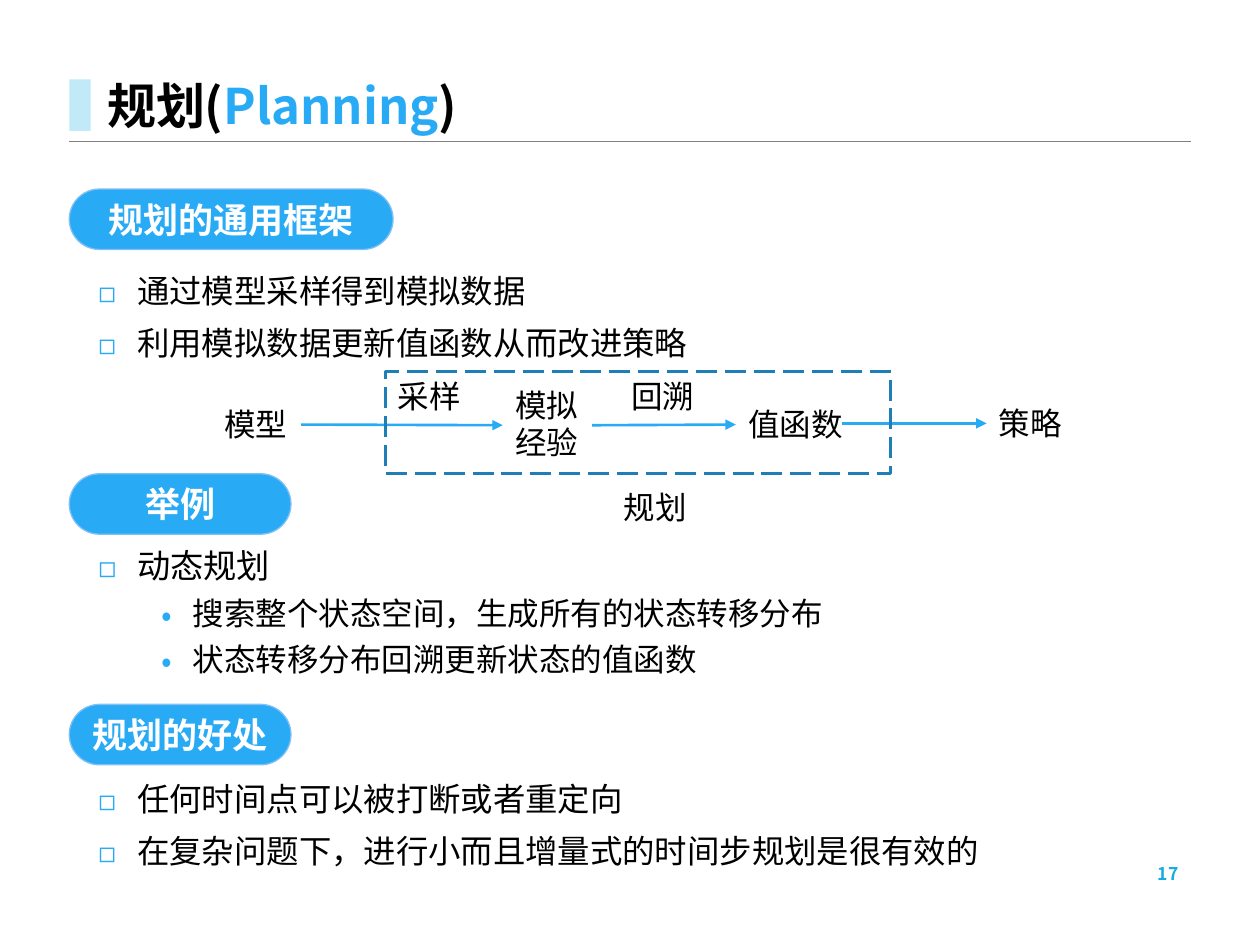
from lxml import etree
from pptx import Presentation
from pptx.dml.color import RGBColor
from pptx.enum.dml import MSO_LINE
from pptx.enum.shapes import MSO_CONNECTOR, MSO_SHAPE
from pptx.enum.text import MSO_ANCHOR, MSO_AUTO_SIZE, PP_ALIGN
from pptx.oxml.ns import qn
from pptx.util import Inches, Pt

FONT = "Noto Sans CJK JP"
BLUE, BLACK, WHITE = "29AAF5", "000000", "FFFFFF"
STRAIGHT = MSO_CONNECTOR.STRAIGHT
LONG_DASH = MSO_LINE.LONG_DASH
TOP, MIDDLE, BOTTOM = MSO_ANCHOR.TOP, MSO_ANCHOR.MIDDLE, MSO_ANCHOR.BOTTOM
LEFT, CENTER, RIGHT = PP_ALIGN.LEFT, PP_ALIGN.CENTER, PP_ALIGN.RIGHT
LABEL_LINE, LIST_LINE = Pt(21.3), Pt(19.7)
COMPARISON_LAYOUT = 4


def rgb(color):
    return RGBColor.from_string(color)


def style_span(span, size, color=BLACK, bold=False):
    font = span.font
    font.size, font.bold = Pt(size), bold
    font.fill.solid()
    font.fill.fore_color.rgb = rgb(color)
    font.name = FONT
    etree.SubElement(span._r.get_or_add_rPr(), qn("a:ea")).set("typeface", FONT)


def move(shape, box):
    shape.left, shape.top, shape.width, shape.height = map(Inches, box)


def add_label(page, box, text, size=18, color=BLACK, bold=False, align=LEFT,
              anchor=TOP, line=LABEL_LINE):
    label = page.shapes.add_textbox(*map(Inches, box))
    frame = label.text_frame
    frame.word_wrap, frame.vertical_anchor = True, anchor
    frame.text = text
    para = frame.paragraphs[0]
    para.alignment, para.line_spacing = align, line
    style_span(para.runs[0], size, color, bold)
    return label


def add_plain_shape(page, kind, box, fill=None):
    shape = page.shapes.add_shape(kind, *map(Inches, box))
    shape.shadow.inherit = False
    if fill:
        shape.fill.solid()
        shape.fill.fore_color.rgb = rgb(fill)
    else:
        shape.fill.background()
    return shape


def add_line(page, start, end, color, width):
    line = page.shapes.add_connector(STRAIGHT, *map(Inches, start + end))
    line.line.color.rgb, line.line.width = rgb(color), Pt(width)
    etree.SubElement(line._element.spPr, qn("a:effectLst"))
    return line


def add_arrow(page, start, end):
    arrow = add_line(page, start, end, BLUE, 1.5)
    outline = arrow.line._get_or_add_ln()
    etree.SubElement(outline, qn("a:tailEnd")).set("type", "triangle")
    return arrow


def fill_header(page, box):
    left, top, width, height = box
    bottom = top + height
    add_line(page, (left, bottom), (left + width, bottom), "808080", 0.25)
    marker = add_plain_shape(page, MSO_SHAPE.RECTANGLE, (left, top + 0.63, 0.17, 0.41), "C2E9F7")
    marker.line.fill.background()
    title = page.shapes.title
    move(title, (left + 0.2, top, width, height))
    frame = title.text_frame
    frame.vertical_anchor, frame.auto_size = BOTTOM, MSO_AUTO_SIZE.NONE
    para = frame.paragraphs[0]
    para.alignment, para.line_spacing = LEFT, 0.9
    for text, color in (("规划(", BLACK), ("Planning", BLUE), (")", BLACK)):
        span = para.add_run()
        span.text = text
        style_span(span, 28, color, True)


def add_pill(page, box, text):
    pill = add_plain_shape(page, MSO_SHAPE.ROUNDED_RECTANGLE, box, BLUE)
    pill.adjustments[0] = 0.5
    pill.line.color.rgb, pill.line.width = rgb("80C0F6"), Pt(0.75)
    frame = pill.text_frame
    frame.vertical_anchor = MIDDLE
    frame.text = text
    para = frame.paragraphs[0]
    para.alignment = CENTER
    style_span(para.runs[0], 20, WHITE, True)


def set_bullet(para, mark, margin, hanging, percent):
    properties = para._p.get_or_add_pPr()
    properties.set("marL", str(Inches(margin)))
    properties.set("indent", str(-Inches(hanging)))
    color = etree.SubElement(properties, qn("a:buClr"))
    etree.SubElement(color, qn("a:srgbClr")).set("val", BLUE)
    etree.SubElement(properties, qn("a:buSzPct")).set("val", str(percent * 1000))
    etree.SubElement(properties, qn("a:buFont")).set("typeface", FONT)
    etree.SubElement(properties, qn("a:buChar")).set("char", mark)


def fill_list(body, box, items, size, line):
    """Fill a body placeholder with (level, text) items."""
    move(body, box)
    frame = body.text_frame
    frame.vertical_anchor, frame.auto_size = TOP, MSO_AUTO_SIZE.NONE
    for index, (level, text) in enumerate(items):
        para = frame.add_paragraph() if index else frame.paragraphs[0]
        para.text, para.level = text, level
        para.alignment, para.line_spacing = LEFT, line
        para.space_before = Pt((5 if level else 10) if index else 0)
        if level:
            set_bullet(para, "•", 0.75, 0.25, 100)
        else:
            set_bullet(para, "◻", 0.31, 0.31, 88)
        style_span(para.runs[0], 18 if level else size)


def add_flow(page, box):
    """Chain from model to policy, with a dashed frame around planning."""
    left, top, width, height = box
    model = add_label(page, (left, top + 0.22, 0.71, 0.4), "模型")
    experience = add_label(page, (left + 2.31, top + 0.07, 0.71, 0.71), "模拟经验")
    value = add_label(page, (left + 4.16, top + 0.22, 1.14, 0.4), "值函数")
    policy = add_label(page, (left + 6.15, top + 0.21, 1.14, 0.4), "策略")
    for offset, drop, text in ((1.38, 0, "采样"), (3.23, 0, "回溯"), (3.17, 0.88, "规划")):
        add_label(page, (left + offset, top + drop, 0.71, 0.4), text)

    middle = top + 0.42
    for source, target in ((model, experience), (experience, value)):
        arrow = add_arrow(page, (left, middle), (left + 1, middle))
        arrow.begin_connect(source, 3)
        arrow.end_connect(target, 1)
    last_arrow = add_arrow(page, (left + 5, middle - 0.01), (left + 6.15, middle - 0.01))
    last_arrow.end_connect(policy, 1)

    frame = add_plain_shape(page, MSO_SHAPE.RECTANGLE, (left + 1.38, top, 4.01, 0.81))
    frame.line.color.rgb, frame.line.width = rgb("1E7EB5"), Pt(1.5)
    frame.line.dash_style = LONG_DASH


def main():
    deck = Presentation()
    deck.slide_width, deck.slide_height = Inches(10), Inches(7.5)
    page = deck.slides.add_slide(deck.slide_layouts[COMPARISON_LAYOUT])
    _, framework, example, benefits, spare = page.placeholders
    spare._element.getparent().remove(spare._element)

    fill_header(page, (0.55, 0, 8.9, 1.12))
    for top, width, text in ((1.5, 2.57, "规划的通用框架"), (3.76, 1.76, "举例"),
                             (5.59, 1.76, "规划的好处")):
        add_pill(page, (0.55, top, width, 0.48), text)
    fill_list(framework, (0.68, 2.14, 8.77, 0.84), [
        (0, "通过模型采样得到模拟数据"),
        (0, "利用模拟数据更新值函数从而改进策略"),
    ], 18.5, LIST_LINE)
    fill_list(example, (0.68, 4.3, 7.7, 1.22), [
        (0, "动态规划"),
        (1, "搜索整个状态空间，生成所有的状态转移分布"),
        (1, "状态转移分布回溯更新状态的值函数"),
    ], 19, LABEL_LINE)
    fill_list(benefits, (0.68, 6.17, 8.64, 0.81), [
        (0, "任何时间点可以被打断或者重定向"),
        (0, "在复杂问题下，进行小而且增量式的时间步规划是很有效的"),
    ], 18.5, LIST_LINE)
    add_flow(page, (1.68, 2.95, 7.29, 1.28))
    add_label(page, (7.06, 6.82, 2.39, 0.23), "17", 10, "17ABE3", True, RIGHT, MIDDLE, 1.0)
    deck.save("out.pptx")


if __name__ == "__main__":
    main()
